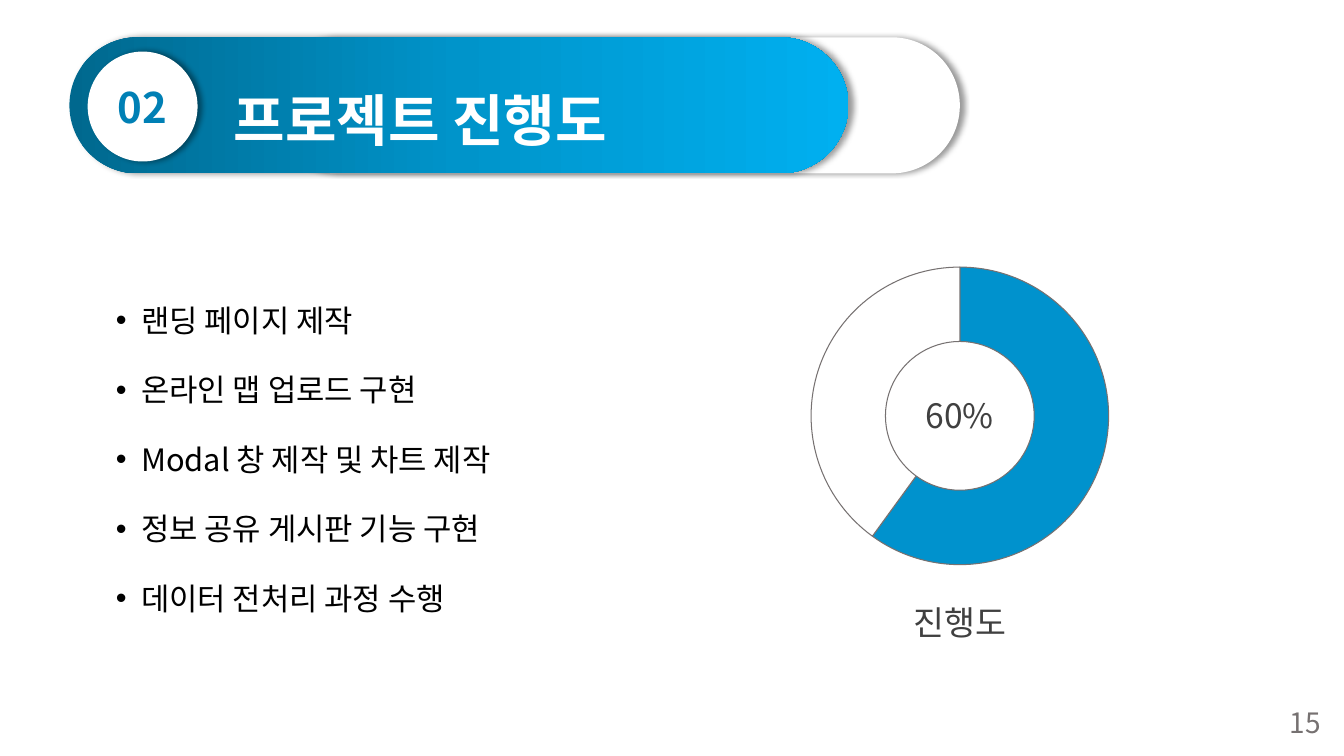
from copy import deepcopy
from lxml.etree import SubElement
from pptx import Presentation
from pptx.chart.data import CategoryChartData
from pptx.dml.color import RGBColor
from pptx.enum.chart import XL_CHART_TYPE
from pptx.enum.shapes import MSO_SHAPE
from pptx.enum.text import MSO_ANCHOR, MSO_AUTO_SIZE, PP_ALIGN
from pptx.oxml.ns import qn
from pptx.util import Cm, Pt

FONT = "Noto Sans CJK KR"
TASKS = [
    "랜딩 페이지 제작",
    "온라인 맵 업로드 구현",
    "Modal 창 제작\u00a0및 차트 제작",
    "정보 공유 게시판 기능 구현",
    "데이터 전처리 과정 수행",
]


def color(code):
    return RGBColor.from_string(code)


def style(para, size, code, bold=False, align=PP_ALIGN.LEFT):
    para.alignment = align
    for run in para.runs:
        font = run.font
        font.size, font.bold, font.name = Pt(size), bold, FONT
        font.color.rgb = color(code)
        SubElement(font._element, qn("a:ea"), typeface=FONT)


def shade(shape):
    shape.shadow.inherit = False
    effects = shape._element.spPr.find(qn("a:effectLst"))
    outer = SubElement(effects, qn("a:outerShdw"), blurRad=str(Pt(4)),
                       dist=str(Pt(3)), dir="0", algn="l", rotWithShape="0")
    black = SubElement(outer, qn("a:srgbClr"), val="000000")
    SubElement(black, qn("a:alpha"), val="40000")


def blend(shape, codes):
    shape.fill.gradient()
    shape.fill.gradient_angle = 0
    stops = shape._element.spPr.find(qn("a:gradFill")).find(qn("a:gsLst"))
    stops.insert(1, deepcopy(stops[0]))
    for index, (stop, code) in enumerate(zip(shape.fill.gradient_stops, codes)):
        stop.color.rgb = color(code)
        stop.position = index / (len(codes) - 1)


def panel(slide, kind, box, codes):
    shape = slide.shapes.add_shape(kind, *map(Cm, box))
    if kind == MSO_SHAPE.ROUNDED_RECTANGLE:
        shape.adjustments[0] = 0.5
    if len(codes) > 1:
        blend(shape, codes)
    else:
        shape.fill.solid()
        shape.fill.fore_color.rgb = color(codes[0])
    shape.line.fill.background()
    shade(shape)
    return shape


def badge(slide, box, text):
    shape = panel(slide, MSO_SHAPE.OVAL, box, ["FFFFFF"])
    frame = shape.text_frame
    frame.margin_left = frame.margin_right = 0
    frame.vertical_anchor = MSO_ANCHOR.MIDDLE
    frame.text = text
    style(frame.paragraphs[0], 30, "0080B5", True, PP_ALIGN.CENTER)


def head(slide, box, text):
    title = slide.shapes.title
    title.left, title.top, title.width, title.height = map(Cm, box)
    frame = title.text_frame
    frame.text = text
    frame.auto_size = MSO_AUTO_SIZE.NONE
    frame.vertical_anchor = MSO_ANCHOR.TOP
    para = frame.paragraphs[0]
    para.line_spacing = 1.5
    style(para, 40, "FFFFFF", True, PP_ALIGN.JUSTIFY)
    title._element.getparent().append(title._element)


def label(slide, box, text, size, code, align=PP_ALIGN.LEFT):
    frame = slide.shapes.add_textbox(*map(Cm, box)).text_frame
    frame.word_wrap = True
    frame.text = text
    style(frame.paragraphs[0], size, code, align=align)


def bullets(slide, box, items):
    frame = slide.shapes.add_textbox(*map(Cm, box)).text_frame
    frame.word_wrap = True
    frame.vertical_anchor = MSO_ANCHOR.MIDDLE
    frame.text = "\n".join(items)
    for para in frame.paragraphs:
        para.line_spacing = 1.5
        para.space_before = Pt(10)
        style(para, 22, "000000")
        props = para._p.get_or_add_pPr()
        props.set("marL", str(Cm(0.64)))
        props.set("indent", str(-Cm(0.64)))
        SubElement(props, qn("a:buFont"), typeface="Arial")
        SubElement(props, qn("a:buChar"), char="•")


def donut(slide, box, values, codes):
    data = CategoryChartData()
    data.categories = [str(number + 1) for number in range(len(values))]
    data.add_series("진행도", values)
    chart = slide.shapes.add_chart(
        XL_CHART_TYPE.DOUGHNUT, *map(Cm, box), data).chart
    chart.has_legend = chart.has_title = False
    chart.font.name, chart.font.size = FONT, Pt(10)
    chart.font.color.rgb = color("000000")
    plot = chart.plots[0]
    plot.vary_by_categories = True
    plot._element.find(qn("c:holeSize")).set("val", "75")
    for index, code in enumerate(codes):
        form = plot.series[0].points[index].format
        form.fill.solid()
        form.fill.fore_color.rgb = color(code)
        form.line.color.rgb = color("767171")
        form.line.width = Pt(0.75)


def main():
    deck = Presentation()
    deck.slide_width, deck.slide_height = Cm(33.87), Cm(19.05)
    slide = deck.slides.add_slide(deck.slide_layouts[5])
    pill = MSO_SHAPE.ROUNDED_RECTANGLE
    panel(slide, pill, (6.71, 0.94, 17.48, 3.43), ["FFFFFF"])
    bullets(slide, (2.67, 6.93, 14.17, 8.81), TASKS)
    panel(slide, pill, (1.75, 0.94, 19.63, 3.43),
          ["00688E", "0094CA", "00B0F0"])
    badge(slide, (2.21, 1.3, 2.77, 2.77), "02")
    head(slide, (5.64, 1.17, 15.01, 2.54), "프로젝트 진행도")
    label(slide, (32.26, 17.65, 1.61, 1.12), "15", 20, "767171")
    donut(slide, (19.58, 6.38, 9.22, 8.2), (60, 40), ("0092CD", "FFFFFF"))
    label(slide, (22.99, 9.83, 2.39, 1.27), "60%", 24, "404040",
          PP_ALIGN.CENTER)
    label(slide, (22.28, 15.04, 3.84, 1.27), "진행도", 24, "404040",
          PP_ALIGN.CENTER)
    deck.save("out.pptx")


if __name__ == "__main__":
    main()
